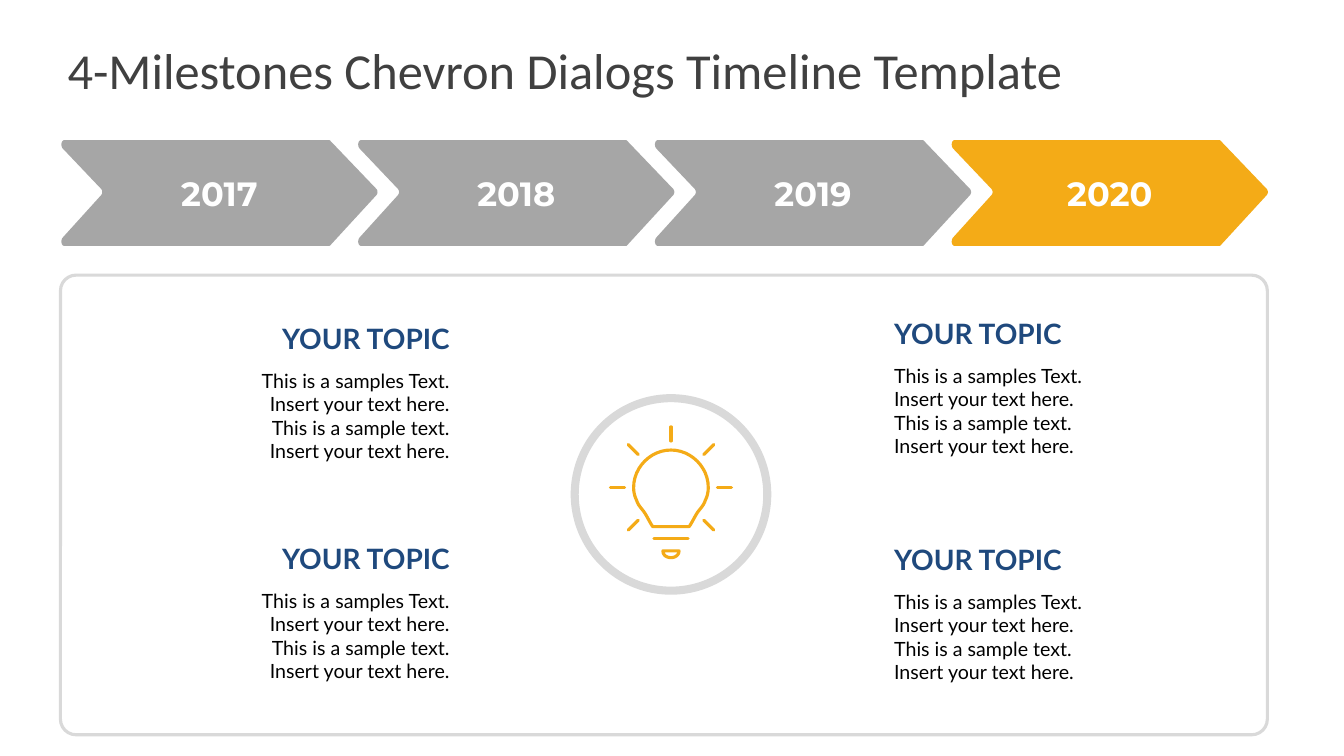
from dataclasses import dataclass
from math import cos, radians, sin

from lxml.etree import SubElement
from pptx import Presentation
from pptx.dml.color import RGBColor
from pptx.enum.shapes import MSO_CONNECTOR as CONN, MSO_SHAPE as SHAPE
from pptx.enum.text import MSO_ANCHOR as ANCHOR, MSO_AUTO_SIZE as AUTO, PP_ALIGN as ALIGN
from pptx.oxml.ns import qn
from pptx.util import Pt


@dataclass(frozen=True)
class Theme:
    title: str = "404040"
    past: str = "A6A6A6"
    accent: str = "F4AB17"
    frame: str = "D9D9D9"
    topic: str = "1F497D"
    body: str = "000000"
    white: str = "FFFFFF"
    title_size: int = 36
    year_size: int = 24
    topic_size: int = 20
    body_size: int = 14
    thin: float = 2.25
    thick: float = 5.75


THEME = Theme()
BODY = ("This is a samples Text. Insert your text here. "
        "This is a sample text. Insert your text here.")

# Chevron outline: pairs are line ends, sixes are curves (two controls, end)
CHEVRON = [(40, 48), (2, 8), (0, 5, 1, 0, 4, 0), (266, 0), (267, 0, 267, 0, 268, 1),
           (313, 48), (315, 50, 315, 53, 313, 55), (268, 104), (267, 105, 267, 105, 266, 105),
           (4, 105), (1, 105, 0, 100, 2, 97), (40, 55), (42, 53, 42, 50, 40, 48)]
# Right half of the bulb glass, from the neck up to the crown
GLASS = [(18, 39), (21, 35, 24, 28, 27, 24), (30, 20, 33, 17, 34, 13),
         (36, 9, 37, 5, 37, 0), (37, -20, 20, -37, 0, -37)]
BULB_TIP = [(-8, 63), (8, 63), (8, 72, -8, 72, -8, 63)]


def px(n):
    """100 px to the inch."""
    return round(n * 9144)


def rgb(color):
    return RGBColor.from_string(color)


def put_text(tf, text, *, size, color, font, bold=False, align=ALIGN.LEFT,
             anchor=ANCHOR.TOP, inset=None):
    tf.word_wrap = True
    tf.auto_size = AUTO.NONE
    tf.vertical_anchor = anchor
    if inset is not None:
        tf.margin_left = tf.margin_right = tf.margin_top = tf.margin_bottom = px(inset)
    p = tf.paragraphs[0]
    p.alignment = align
    r = p.add_run()
    r.text = text
    r.font.size, r.font.name, r.font.bold = Pt(size), font, bold
    r.font.color.rgb = rgb(color)


def paint(s, fill=None, line=None, width=THEME.thin):
    s.shadow.inherit = False
    if fill:
        s.fill.solid()
        s.fill.fore_color.rgb = rgb(fill)
    else:
        s.fill.background()
    if line:
        s.line.color.rgb = rgb(line)
        s.line.width = Pt(width)
    else:
        s.line.fill.background()


def flatten(outline, steps=12):
    points = [outline[0]]
    for part in outline[1:]:
        if len(part) == 2:
            points.append(part)
            continue
        ctrl = [points[-1], part[:2], part[2:4], part[4:]]
        for i in range(1, steps + 1):
            t = i / steps
            weights = ((1 - t) ** 3, 3 * t * (1 - t) ** 2, 3 * t * t * (1 - t), t ** 3)
            points.append(tuple(sum(w * c[axis] for w, c in zip(weights, ctrl))
                                for axis in (0, 1)))
    return points


def add_outline(shapes, points, x, y):
    emu = [(px(x + dx), px(y + dy)) for dx, dy in points]
    builder = shapes.build_freeform(*emu[0], scale=1.0)
    builder.add_line_segments(emu[1:], close=True)
    return builder.convert_to_shape()


def add_stroke(shapes, x1, y1, x2, y2):
    s = shapes.add_connector(CONN.STRAIGHT, px(x1), px(y1), px(x2), px(y2))
    s.line.color.rgb = rgb(THEME.accent)
    s.line.width = Pt(THEME.thin)
    sp_pr = s.element.spPr
    sp_pr.find(qn("a:ln")).set("cap", "rnd")
    SubElement(sp_pr, qn("a:effectLst"))


def add_title(slide, box, text):
    s = slide.shapes.title
    s.left, s.top, s.width, s.height = map(px, box)
    put_text(s.text_frame, text, size=THEME.title_size, color=THEME.title,
             font="Calibri", anchor=ANCHOR.MIDDLE, inset=0)


def add_timeline(slide, box, years, current):
    x, y, w, _ = box
    chevron_w = max(p[-2] for p in CHEVRON) + 1
    pitch = (w - chevron_w) / (len(years) - 1)
    for i, year in enumerate(years):
        s = add_outline(slide.shapes, flatten(CHEVRON), x + i * pitch, y)
        paint(s, fill=THEME.accent if year == current else THEME.past)
        put_text(s.text_frame, year, size=THEME.year_size, color=THEME.white,
                 font="Montserrat", bold=True, align=ALIGN.CENTER, anchor=ANCHOR.MIDDLE)


def add_topic(slide, box, align):
    x, y, w, _ = box
    head_w = 192
    head_x = x + w - head_w if align == ALIGN.RIGHT else x
    s = slide.shapes.add_textbox(px(head_x), px(y), px(head_w), px(44))
    put_text(s.text_frame, "YOUR TOPIC", size=THEME.topic_size, color=THEME.topic,
             font="Lato", bold=True, align=align, anchor=ANCHOR.BOTTOM)
    s = slide.shapes.add_textbox(px(x), px(y + 48), px(w), px(104))
    put_text(s.text_frame, BODY, size=THEME.body_size, color=THEME.body,
             font="Lato", align=align)


def add_bulb(slide, box):
    x, y, w, h = box
    s = slide.shapes.add_shape(SHAPE.OVAL, *map(px, box))
    paint(s, fill=THEME.white, line=THEME.frame, width=THEME.thick)
    # Bulb, measured from the centre of its glass
    cx, cy = x + w / 2, y + h / 2 - 7
    shapes = slide.shapes.add_group_shape().shapes
    half = flatten(GLASS)
    glass = half + [(-dx, dy) for dx, dy in reversed(half[:-1])]
    for points in (glass, flatten(BULB_TIP)):
        paint(add_outline(shapes, points, cx, cy), line=THEME.accent)
    add_stroke(shapes, cx - 17, cy + 51, cx + 17, cy + 51)
    # Rays all round except straight down
    for angle in range(135, 406, 45):
        ux, uy = cos(radians(angle)), sin(radians(angle))
        add_stroke(shapes, cx + 46 * ux, cy + 46 * uy, cx + 60 * ux, cy + 60 * uy)


def add_panel(slide, box):
    x, y, w, h = box
    s = slide.shapes.add_shape(SHAPE.ROUNDED_RECTANGLE, *map(px, box))
    s.adjustments[0] = 0.034
    paint(s, line=THEME.frame)
    # Topics: offsets inside the panel
    for dx, dy, align in ((160, 40, ALIGN.RIGHT), (817, 35, ALIGN.LEFT),
                          (160, 258, ALIGN.RIGHT), (817, 259, ALIGN.LEFT)):
        add_topic(slide, (x + dx, y + dy, 236, 152), align)
    add_bulb(slide, (x + 510, y + 122, 191, 191))


def main():
    prs = Presentation()
    prs.slide_width, prs.slide_height = px(1333), px(750)
    slide = prs.slides.add_slide(prs.slide_layouts[5])
    add_title(slide, (67, 30, 1200, 78), "4-Milestones Chevron Dialogs Timeline Template")
    add_timeline(slide, (60, 139, 1197, 105), ["2017", "2018", "2019", "2020"], "2020")
    add_panel(slide, (60, 273, 1197, 456))
    prs.save("out.pptx")


if __name__ == "__main__":
    main()
